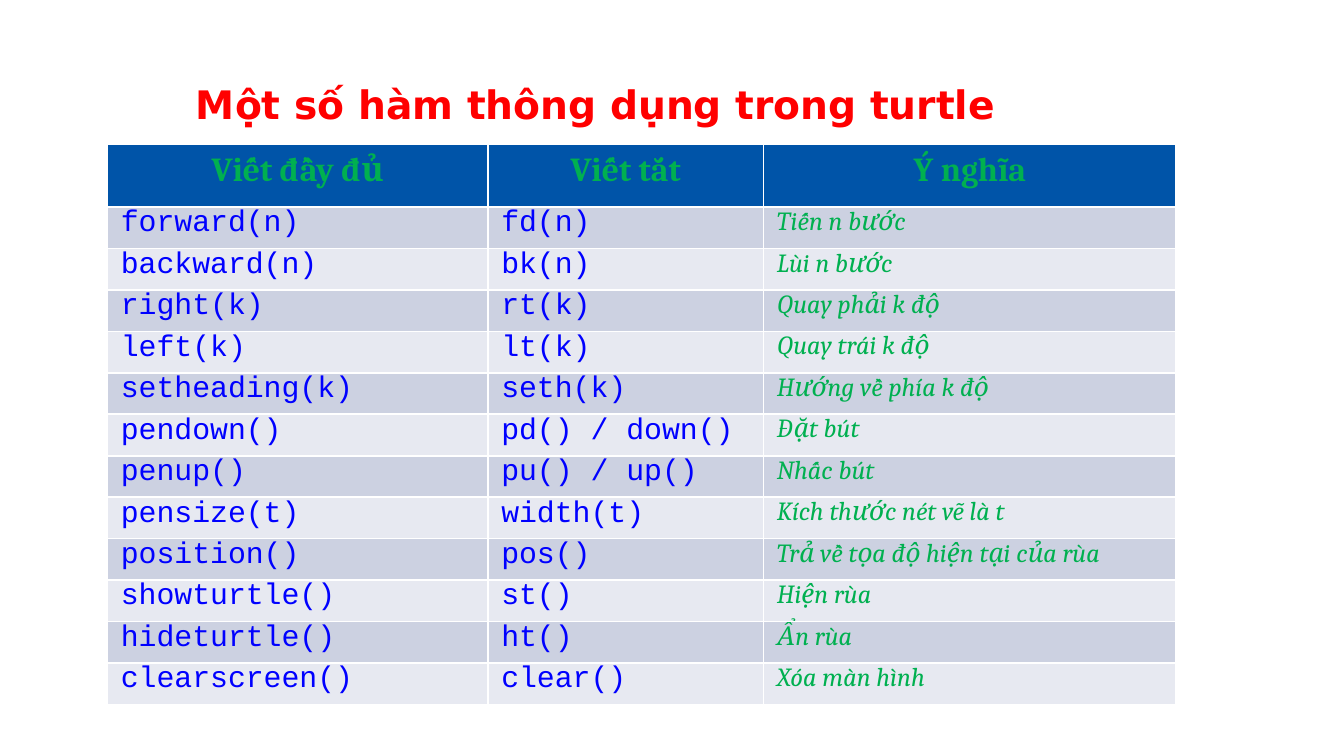
from pptx import Presentation
from pptx.dml.color import RGBColor
from pptx.enum import text as t
from pptx.util import Cm, Pt

TITLE = "Một số hàm thông dụng trong turtle"
HEADERS = ("Viết đầy đủ", "Viết tắt", "Ý nghĩa")
FUNCTIONS = [
    ("forward(n)", "fd(n)", "Tiến n bước"),
    ("backward(n)", "bk(n)", "Lùi n bước"),
    ("right(k)", "rt(k)", "Quay phải k độ"),
    ("left(k)", "lt(k)", "Quay trái k độ"),
    ("setheading(k)", "seth(k)", "Hướng về phía k độ"),
    ("pendown()", "pd() / down()", "Đặt bút"),
    ("penup()", "pu() / up()", "Nhấc bút"),
    ("pensize(t)", "width(t)", "Kích thước nét vẽ là t"),
    ("position()", "pos()", "Trả về tọa độ hiện tại của rùa"),
    ("showturtle()", "st()", "Hiện rùa"),
    ("hideturtle()", "ht()", "Ẩn rùa"),
    ("clearscreen()", "clear()", "Xóa màn hình"),
]

RED = RGBColor(0xFF, 0x00, 0x00)
GREEN = RGBColor(0x00, 0xB0, 0x50)
BLUE = RGBColor(0x00, 0x00, 0xFF)
HEADER_FILL = RGBColor(0x00, 0x54, 0xA8)
BAND_FILLS = (RGBColor(0xCC, 0xD1, 0xE1), RGBColor(0xE7, 0xE9, 0xF1))

COLUMN_WIDTHS = (7.19, 5.21, 7.8)
TABLE_HEIGHT = 10.59
HEADER_HEIGHT = 1.19
ROW_HEIGHT = (TABLE_HEIGHT - HEADER_HEIGHT) / len(FUNCTIONS)


def style_font(para, name, size, color, bold=False, italic=False):
    font = para.font
    font.name, font.size, font.bold, font.italic = name, Pt(size), bold, italic
    font.color.rgb = color


def fill_cell(cell, content, color):
    cell.text = content
    cell.fill.solid()
    cell.fill.fore_color.rgb = color
    return cell.text_frame.paragraphs[0]


deck = Presentation()
deck.slide_width, deck.slide_height = Cm(25.4), Cm(14.28)
page = deck.slides.add_slide(deck.slide_layouts[5])

title = page.shapes.title
title.left, title.top, title.width, title.height = Cm(3.45), Cm(1.4), Cm(18.77), Cm(1.12)
title.text = TITLE
title.text_frame.vertical_anchor = t.MSO_ANCHOR.MIDDLE
title.text_frame.auto_size = t.MSO_AUTO_SIZE.NONE
heading = title.text_frame.paragraphs[0]
heading.alignment = t.PP_ALIGN.LEFT
style_font(heading, "DejaVu Sans", 21, RED, bold=True)

table = page.shapes.add_table(
    len(FUNCTIONS) + 1, len(HEADERS),
    Cm(2.03), Cm(2.72), Cm(sum(COLUMN_WIDTHS)), Cm(TABLE_HEIGHT),
).table
for column, width in zip(table.columns, COLUMN_WIDTHS):
    column.width = Cm(width)
for row in table.rows:
    row.height = Cm(ROW_HEIGHT)
table.rows[0].height = Cm(HEADER_HEIGHT)

for column, label in enumerate(HEADERS):
    para = fill_cell(table.cell(0, column), label, HEADER_FILL)
    para.alignment = t.PP_ALIGN.CENTER
    style_font(para, "Cambria", 18, GREEN, bold=True)

for index, function in enumerate(FUNCTIONS):
    for column, content in enumerate(function):
        cell = table.cell(index + 1, column)
        cell.margin_top = cell.margin_bottom = 0
        para = fill_cell(cell, content, BAND_FILLS[index % 2])
        if column == 2:
            style_font(para, "Cambria", 14, GREEN, italic=True)
        else:
            style_font(para, "Courier New", 16, BLUE)

deck.save("out.pptx")
